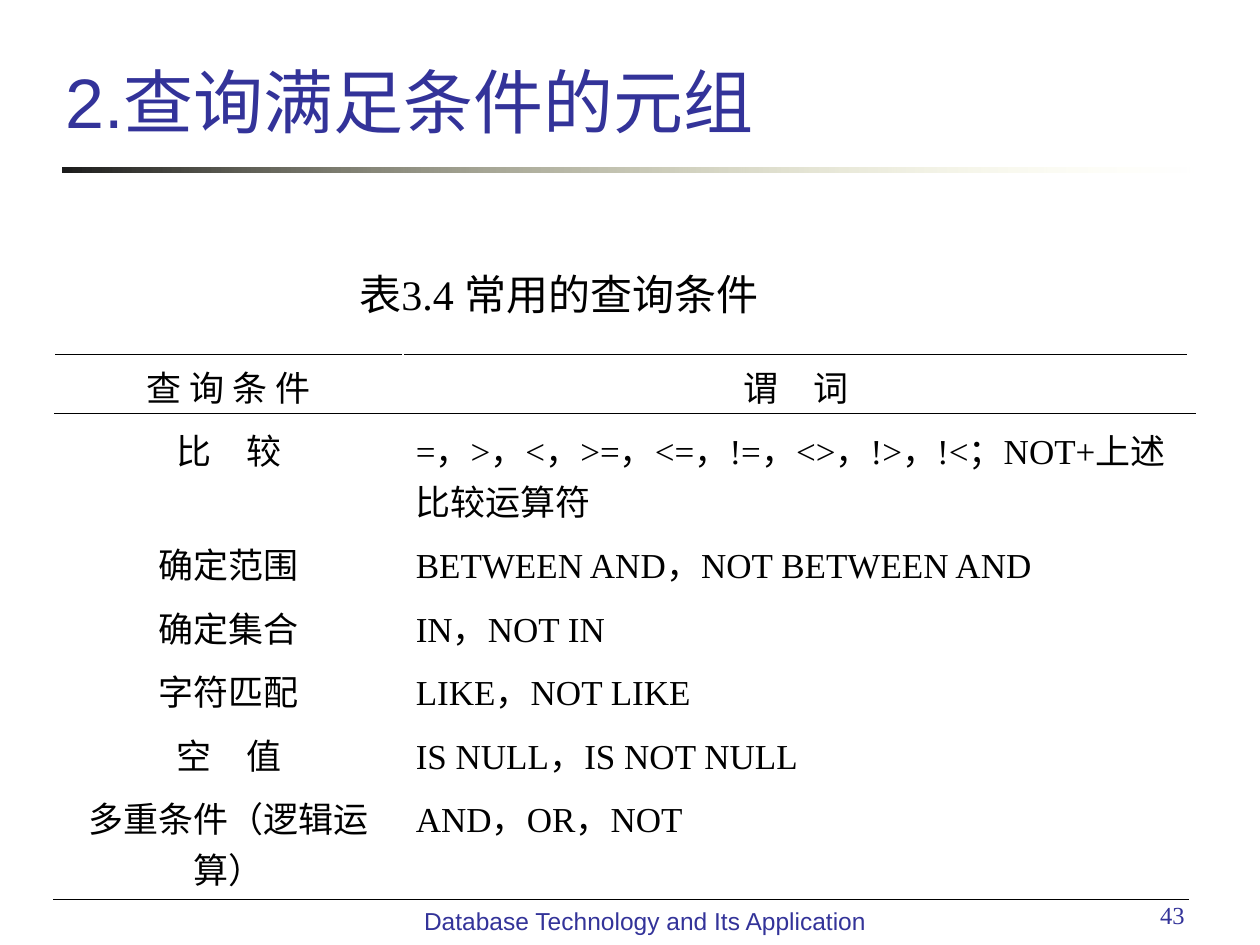
"""Build the slide that lists the common query conditions in a table."""
from typing import NamedTuple

from lxml.etree import SubElement
from pptx import Presentation
from pptx.dml.color import RGBColor
from pptx.enum.shapes import MSO_CONNECTOR, MSO_SHAPE
from pptx.enum.text import MSO_ANCHOR, MSO_AUTO_SIZE, PP_ALIGN as Align
from pptx.oxml import parse_xml
from pptx.oxml.ns import nsdecls, qn
from pptx.util import Inches, Length, Pt

NAVY = RGBColor(0x33, 0x33, 0x99)
BLACK = RGBColor(0, 0, 0)
CHARCOAL = RGBColor(0x1C, 0x1C, 0x1C)
CREAM = RGBColor(0xFF, 0xFF, 0xB7)
SANS, SERIF = "Arial", "Times New Roman"
COLS, ROWS = 100, 75


class Style(NamedTuple):
    size: float
    font: str
    color: RGBColor
    align: Align


class Box(NamedTuple):
    col: float
    row: float
    cols: float
    rows: float


class Label(NamedTuple):
    text: str
    box: Box
    style: Style


class Condition(NamedTuple):
    name: str
    predicates: str
    lines: int = 1


HEADING = Style(40, SANS, NAVY, Align.LEFT)
CENTERED = Style(20, SERIF, BLACK, Align.CENTER)
LISTED = CENTERED._replace(align=Align.LEFT)

TITLE = Label("2.查询满足条件的元组", Box(4.2, 0, 87.8, 11.8), HEADING)
LABELS = [
    Label("表3.4 常用的查询条件", Box(23, 20.8, 42.7, 5), CENTERED._replace(size=24)),
    Label("43", Box(71.7, 70.9, 23.3, 5.2), Style(14, SERIF, NAVY, Align.RIGHT)),
    Label("Database Technology and Its Application", Box(31.9, 71.4, 38.6, 5.2),
          Style(14, SANS, NAVY, Align.CENTER)),
]
CONDITIONS = [
    Condition("查 询 条 件", "谓　词"),
    Condition("比　较", "=，>，<，>=，<=，!=，<>，!>，!<；NOT+上述比较运算符", 2),
    Condition("确定范围", "BETWEEN AND，NOT BETWEEN AND"),
    Condition("确定集合", "IN，NOT IN"),
    Condition("字符匹配", "LIKE，NOT LIKE"),
    Condition("空　值", "IS NULL，IS NOT NULL"),
    Condition("多重条件（逻辑运算）", "AND，OR，NOT", 2),
]
TABLE = Box(4.3, 28.1, 90, 36.9)
NAME_COLS = 27.7
LINE_ROWS, EXTRA_LINE_ROWS = 4.4, 3.3
HEADER_RULE = Box(4.3, 32.8, 90.6, 0)
TITLE_RULE = Box(5, 13.3, 90, 0.4)


def grid(count: float) -> Length:
    """Return the length of a number of grid cells."""
    return Inches(count / 10)


def place(box: Box) -> tuple[Length, ...]:
    """Return left, top, width and height of a box."""
    return tuple(grid(value) for value in box)


def write(tf, text: str, style: Style) -> None:
    """Write one styled paragraph into a text frame."""
    p = tf.paragraphs[0]
    p.alignment = style.align
    r = p.add_run()
    r.text = text
    r.font.size, r.font.name = Pt(style.size), style.font
    r.font.color.rgb = style.color


def add_title(s, label: Label) -> None:
    """Move and fill the title placeholder."""
    sp = s.shapes.title
    sp.left, sp.top, sp.width, sp.height = place(label.box)
    tf = sp.text_frame
    tf.auto_size = MSO_AUTO_SIZE.NONE
    tf.vertical_anchor = MSO_ANCHOR.BOTTOM
    write(tf, label.text, label.style)


def add_label(s, label: Label) -> None:
    """Add a wrapping text box."""
    tf = s.shapes.add_textbox(*place(label.box)).text_frame
    tf.word_wrap = True
    write(tf, label.text, label.style)


def add_title_rule(s, box: Box) -> None:
    """Add the bar that fades out to the right."""
    sp = s.shapes.add_shape(MSO_SHAPE.RECTANGLE, *place(box))
    sp.shadow.inherit = False
    sp.line.fill.background()
    sp.fill.gradient()
    sp.fill.gradient_angle = 0
    for stop, position, color in zip(sp.fill.gradient_stops, (0, 1), (CHARCOAL, CREAM)):
        stop.position, stop.color.rgb = position, color
    end = sp.fill._fill._gradFill.findall(".//" + qn("a:srgbClr"))[-1]
    SubElement(end, qn("a:alpha"), val="0")


def add_header_rule(s, box: Box) -> None:
    """Add the line below the table header."""
    left, top, width, _ = place(box)
    line = s.shapes.add_connector(MSO_CONNECTOR.STRAIGHT, left, top, left + width, top)
    line.line.color.rgb = BLACK
    line.line.width = Pt(0.75)
    SubElement(line._element.spPr, qn("a:effectLst"))


def add_border(cell, side: str) -> None:
    """Draw a thin line on one side of a cell."""
    cell._tc.get_or_add_tcPr().insert(0, parse_xml(
        f'<a:{side} {nsdecls("a")} w="{Pt(0.45)}"><a:solidFill>'
        f'<a:srgbClr val="{BLACK}"/></a:solidFill></a:{side}>'))


def add_conditions(s, box: Box, conditions: list[Condition]) -> None:
    """Add the table with lines above its first and below its last row."""
    table = s.shapes.add_table(len(conditions), 2, *place(box)).table
    table.first_row = table.horz_banding = False
    for column, cols in zip(table.columns, (NAME_COLS, box.cols - NAME_COLS)):
        column.width = grid(cols)
    for i, (row, item) in enumerate(zip(table.rows, conditions)):
        row.height = grid(LINE_ROWS + EXTRA_LINE_ROWS * (item.lines - 1))
        styles = (CENTERED, LISTED if i else CENTERED)
        for cell, text, style in zip(row.cells, (item.name, item.predicates), styles):
            cell.fill.background()
            write(cell.text_frame, text, style)
            if i == 0:
                add_border(cell, "lnT")
            elif i == len(conditions) - 1:
                add_border(cell, "lnB")


def main() -> None:
    """Build and save the slide."""
    prs = Presentation()
    prs.slide_width, prs.slide_height = grid(COLS), grid(ROWS)
    s = prs.slides.add_slide(prs.slide_layouts[5])
    add_title_rule(s, TITLE_RULE)
    add_title(s, TITLE)
    add_conditions(s, TABLE, CONDITIONS)
    add_header_rule(s, HEADER_RULE)
    for label in LABELS:
        add_label(s, label)
    prs.save("out.pptx")


if __name__ == "__main__":
    main()
